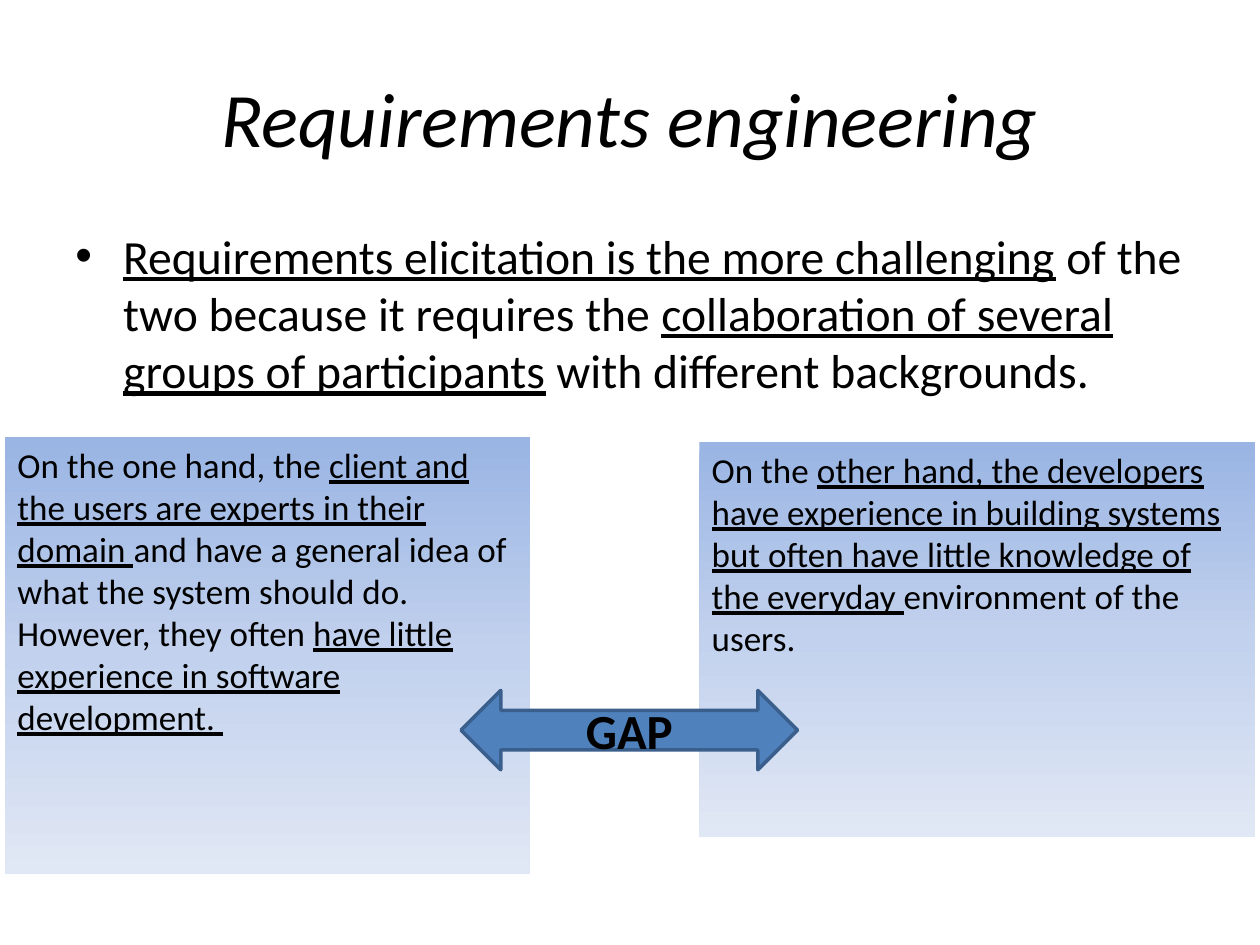
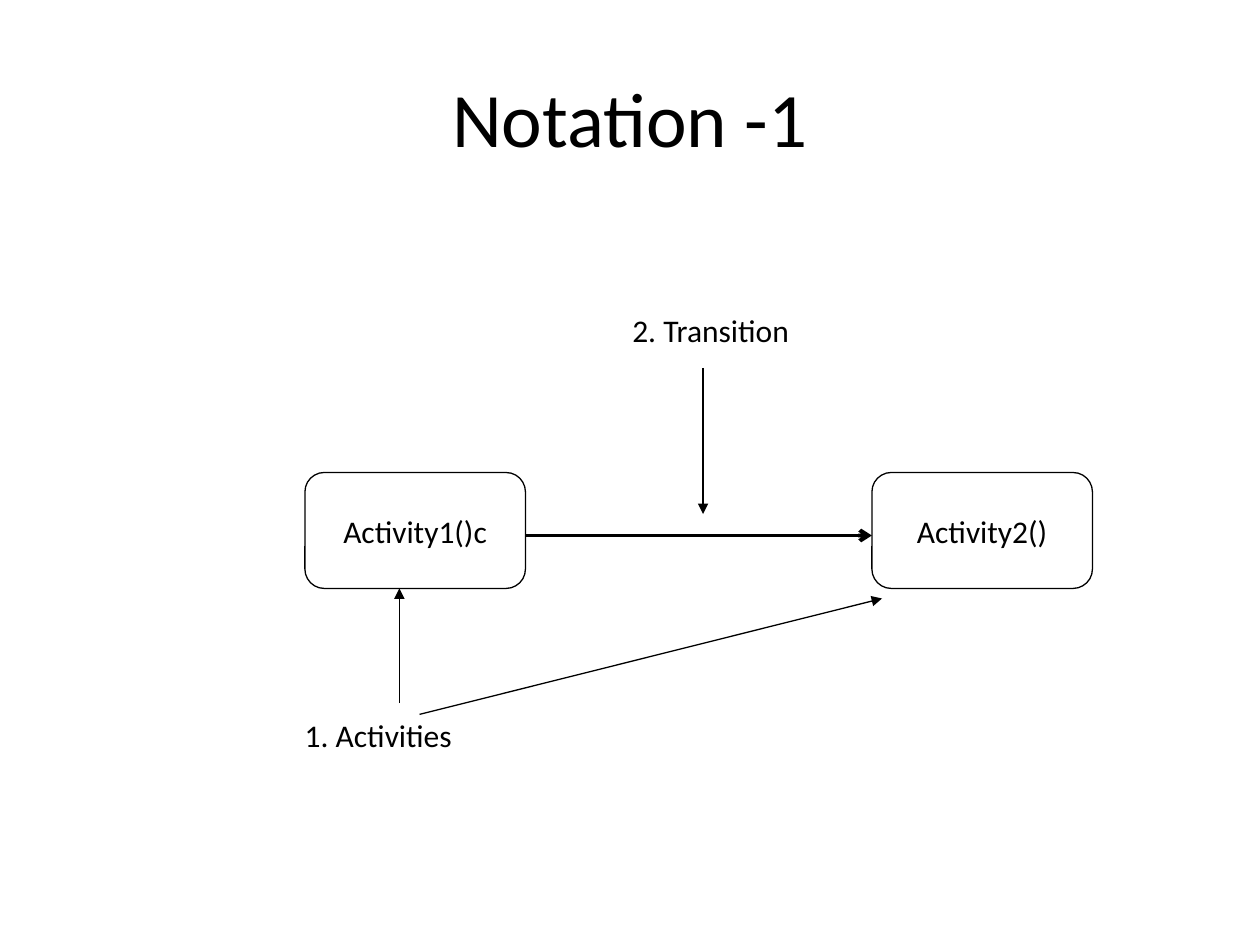
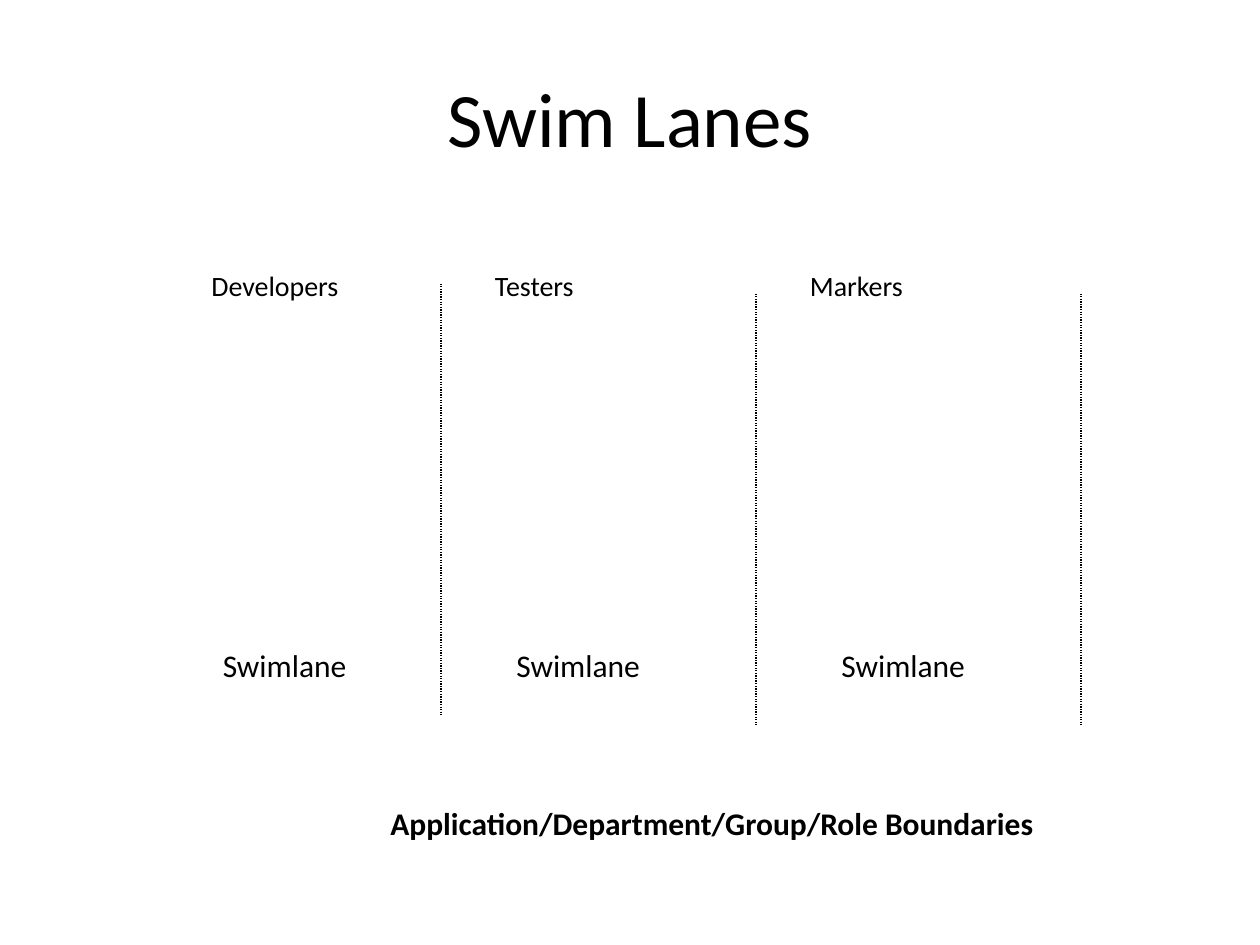
from copy import deepcopy

from lxml import etree
from pptx import Presentation
from pptx import util as u
from pptx.dml.color import RGBColor
from pptx.enum import dml, shapes, text
from pptx.oxml.ns import qn

FONT = "Calibri"
BLACK, WHITE = "000000", "FFFFFF"
ARROW_FILL, ARROW_LINE = "4F81BD", "3A5F8C"
PANEL_GRADIENT = [(0, "9AB5E4"), (0.5, "C2D1ED"), (1, "E1E8F5")]
CENTER, MIDDLE = text.PP_ALIGN.CENTER, text.MSO_ANCHOR.MIDDLE

TITLES = ["Requirements engineering", "Notation -1", "Swim Lanes"]

# Underscores in strings toggle underlining.
ELICITATION = (
    "_Requirements elicitation is the more challenging_ of the two because it requires the "
    "_collaboration of several groups of participants_ with different backgrounds."
)
PANELS = [
    ((0.04, 3.47, 4.17, 3.47),
     "On the one hand, the _client and the users are experts in their domain _and have a general "
     "idea of what the system should do. However, they often "
     "_have little experience in software development. _"),
    ((5.55, 3.51, 4.41, 3.13),
     "On the _other hand, the developers have experience in building systems but often have "
     "little knowledge of the everyday _environment of the users."),
]

ACTIVITIES = [("Activity1()c", 2.42), ("Activity2()", 6.92)]
ACTIVITY_TOP, ACTIVITY_WIDTH, ACTIVITY_HEIGHT = 3.75, 1.75, 0.92
NOTATION_LABELS = [
    ("1. Activities", (2.32, 5.63, 1.83, 0.5)),
    ("2. Transition", (4.92, 2.42, 1.9, 0.5)),
]
TRANSITION = ((4.17, 4.25), (6.92, 4.25))
POINTERS = [
    ((3.17, 5.58), (3.17, 4.67)),
    ((3.33, 5.67), (7, 4.75)),
    ((5.58, 2.92), (5.58, 4.08)),
]

# Role, role left, role width, swimlane left, boundary x, boundary top.
LANES = [
    ("Developers", 1.58, 1.22, 1.67, 3.5, 2.25),
    ("Testers", 3.83, 0.85, 4, 6, 2.33),
    ("Markers", 6.33, 0.94, 6.58, 8.58, 2.33),
]
BOUNDARY_LENGTH = 3.42
BOUNDARIES_CAPTION = "Application/Department/Group/Role Boundaries"


def rgb(value):
    return RGBColor.from_string(value)


def inches(values):
    return [u.Inches(value) for value in values]


def write(shape, content, size=18, bold=False, italic=False, align=text.PP_ALIGN.LEFT,
          anchor=text.MSO_ANCHOR.TOP, wrap=True, grow=False, bullet=False):
    frame = shape.text_frame
    frame.word_wrap = wrap
    frame.vertical_anchor = anchor
    if grow:
        frame.auto_size = text.MSO_AUTO_SIZE.SHAPE_TO_FIT_TEXT
    paragraph = frame.paragraphs[0]
    paragraph.alignment = align
    if bullet:
        properties = paragraph._p.get_or_add_pPr()
        properties.set("marL", str(u.Inches(0.38)))
        properties.set("indent", str(u.Inches(-0.38)))
        etree.SubElement(properties, qn("a:buFont"), typeface="Arial")
        etree.SubElement(properties, qn("a:buChar"), char="•")
    for index, piece in enumerate(content.split("_")):
        if piece:
            run = paragraph.add_run()
            run.text = piece
            font = run.font
            font.name, font.size, font.color.rgb = FONT, u.Pt(size), rgb(BLACK)
            font.bold, font.italic, font.underline = bold, italic, index % 2 == 1


def add_text(slide, content, box, **style):
    write(slide.shapes.add_textbox(*inches(box)), content, **style)


def add_label(slide, content, box, **style):
    add_text(slide, content, box, wrap=False, grow=True, **style)


def add_shape(slide, kind, box, fill=None, line=None, width=0.75):
    shape = slide.shapes.add_shape(kind, *inches(box))
    shape.shadow.inherit = False
    if fill:
        shape.fill.solid()
        shape.fill.fore_color.rgb = rgb(fill)
    if line:
        shape.line.color.rgb = rgb(line)
        shape.line.width = u.Pt(width)
    else:
        shape.line.fill.background()
    return shape


def fill_gradient(shape, colors):
    shape.fill.gradient()
    shape.fill.gradient_angle = 270
    stop_list = shape.fill._fill._gradFill.find(qn("a:gsLst"))
    stop_list.insert(1, deepcopy(stop_list[0]))
    for stop, (position, color) in zip(shape.fill.gradient_stops, colors):
        stop.position = position
        stop.color.rgb = rgb(color)


def add_line(slide, start, end, width=0.75, tail=None, dash=None):
    line = slide.shapes.add_connector(shapes.MSO_CONNECTOR.STRAIGHT, *inches(start + end))
    line.line.color.rgb = rgb(BLACK)
    line.line.width = u.Pt(width)
    if dash:
        line.line.dash_style = dash
    if tail:
        etree.SubElement(line.line._get_or_add_ln(), qn("a:tailEnd"), type=tail)
    etree.SubElement(line._element.spPr, qn("a:effectLst"))


def add_slide(presentation, title, italic=False):
    slide = presentation.slides.add_slide(presentation.slide_layouts[6])
    add_text(slide, title, (0.5, 0.3, 9, 1.25), size=44, italic=italic,
             align=CENTER, anchor=MIDDLE)
    return slide


def build_requirements(presentation):
    slide = add_slide(presentation, TITLES[0], italic=True)
    add_text(slide, ELICITATION, (0.5, 1.75, 9, 1.69), size=27.2, bullet=True)
    for box, content in PANELS:
        panel = add_shape(slide, shapes.MSO_SHAPE.RECTANGLE, box)
        fill_gradient(panel, PANEL_GRADIENT)
        write(panel, content, size=20)
    gap = add_shape(slide, shapes.MSO_SHAPE.LEFT_RIGHT_ARROW, (3.66, 5.48, 2.67, 0.63),
                    ARROW_FILL, ARROW_LINE, 2)
    write(gap, "GAP", size=28, bold=True, align=CENTER, anchor=MIDDLE)


def build_notation(presentation):
    slide = add_slide(presentation, TITLES[1])
    for name, left in ACTIVITIES:
        activity = add_shape(slide, shapes.MSO_SHAPE.ROUNDED_RECTANGLE,
                             (left, ACTIVITY_TOP, ACTIVITY_WIDTH, ACTIVITY_HEIGHT), WHITE, BLACK)
        write(activity, name, align=CENTER, anchor=MIDDLE, wrap=False)
    add_line(slide, *TRANSITION, width=2.25, tail="arrow")
    for content, box in NOTATION_LABELS:
        add_label(slide, content, box)
    for start, end in POINTERS:
        add_line(slide, start, end, tail="triangle")


def build_swim_lanes(presentation):
    slide = add_slide(presentation, TITLES[2])
    add_label(slide, BOUNDARIES_CAPTION, (3, 6.33, 5.43, 0.4), bold=True)
    for role, role_left, role_width, lane_left, x, top in LANES:
        add_line(slide, (x, top), (x, top + BOUNDARY_LENGTH), dash=dml.MSO_LINE.ROUND_DOT)
        add_label(slide, role, (role_left, 2.08, role_width, 0.37), size=16)
        add_label(slide, "Swimlane", (lane_left, 5.08, 1.53, 0.5))


def main():
    presentation = Presentation()
    presentation.slide_width, presentation.slide_height = inches((10, 7.5))
    build_requirements(presentation)
    build_notation(presentation)
    build_swim_lanes(presentation)
    presentation.save("out.pptx")


if __name__ == "__main__":
    main()
